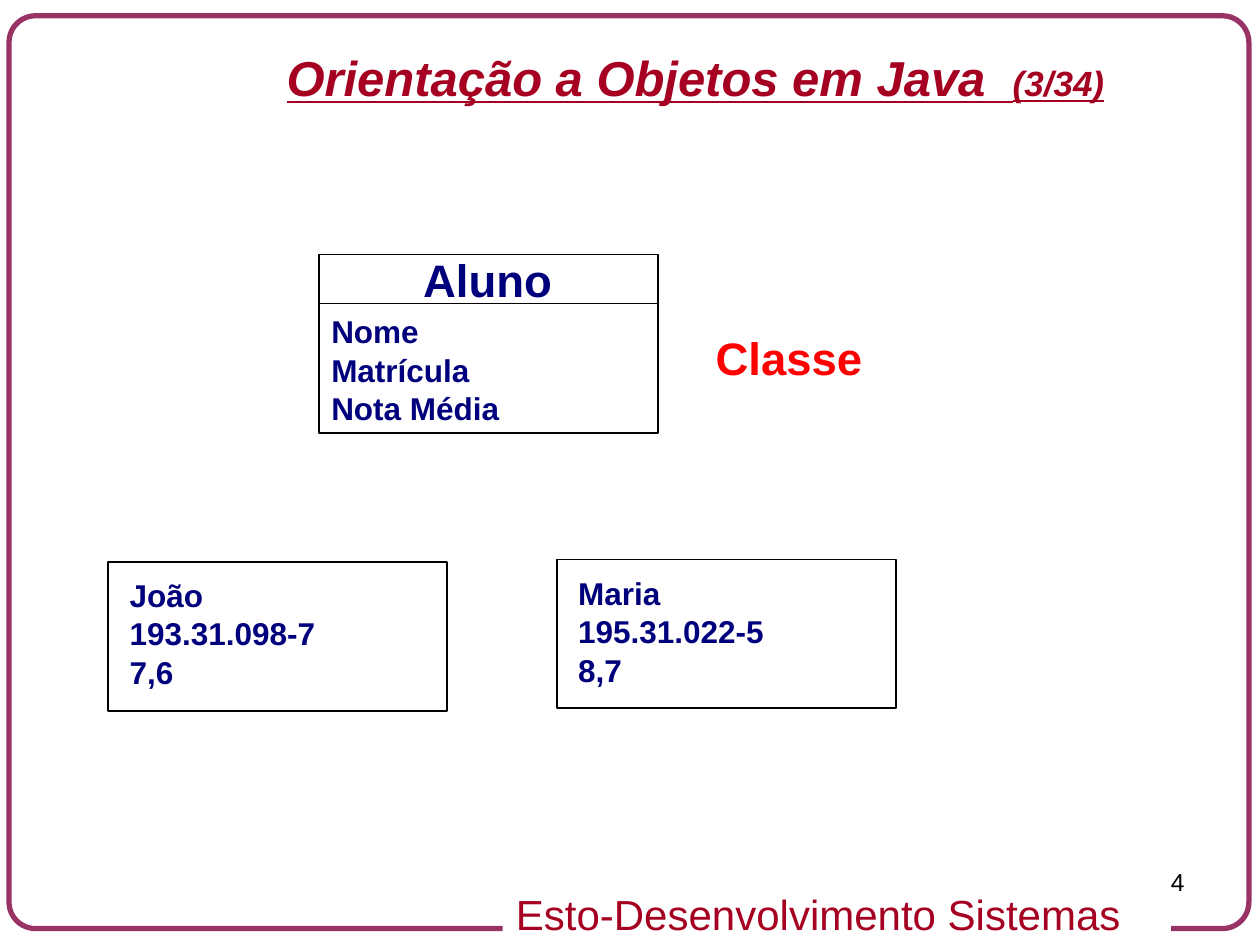
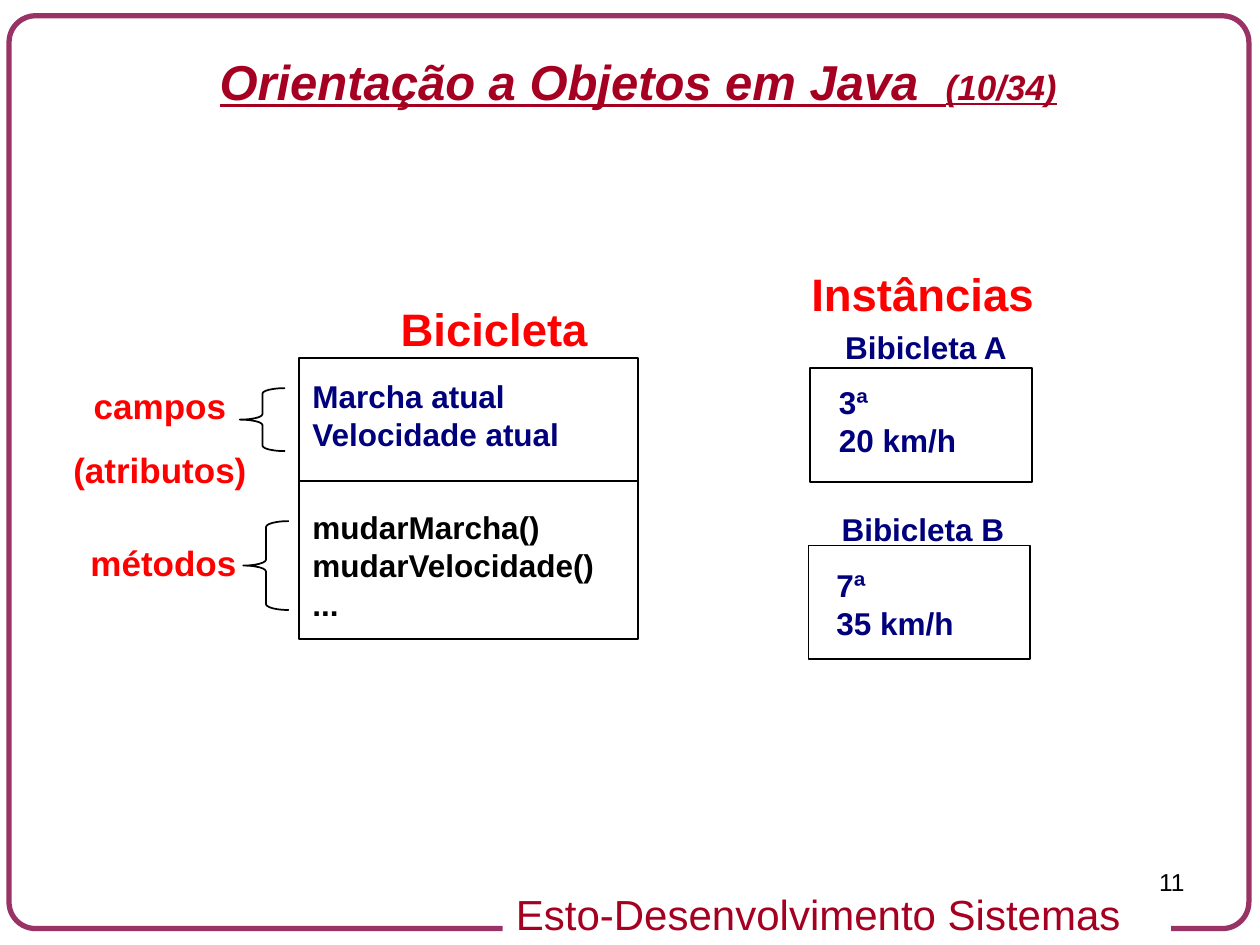
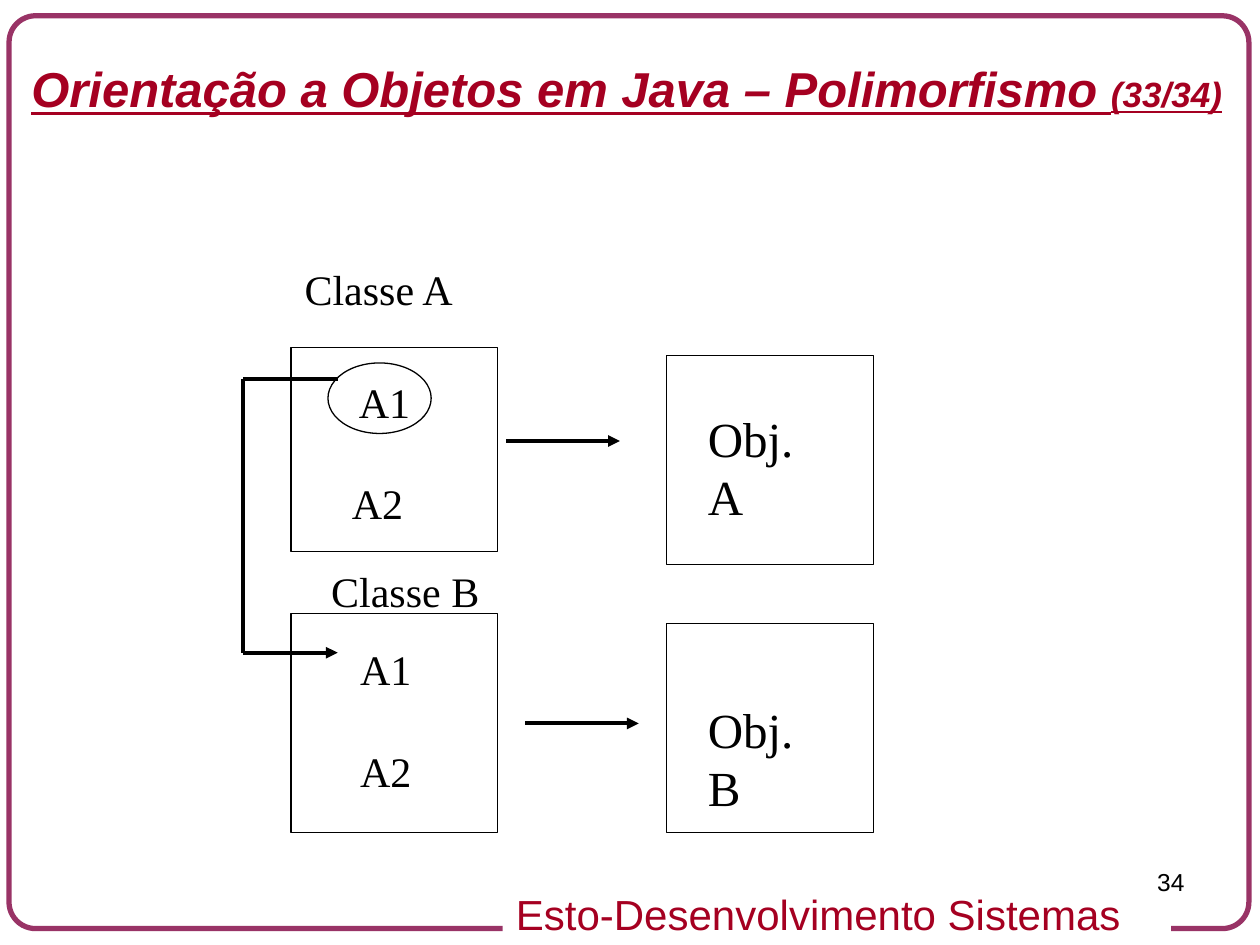
"""Builds three slides on classes, instances and polymorphism in Java."""
from lxml.etree import SubElement
from pptx import Presentation
from pptx.dml.color import RGBColor
from pptx.enum.shapes import MSO_CONNECTOR as Connector, MSO_SHAPE as Preset
from pptx.enum.text import MSO_AUTO_SIZE as AutoSize, PP_ALIGN as Align
from pptx.oxml.ns import qn
from pptx.util import Pt

COLORS = {"frame": "993366", "title": "A50021", "accent": "FF0000",
          "navy": "00007D", "black": "000000", "white": "FFFFFF"}
SANS, SERIF = "Arial", "Times New Roman"
FOOTER = "Esto-Desenvolvimento Sistemas "
COURSE = "Orientação a Objetos em Java"

# style: font, size, colour, bold, space before, line spacing, first height, step
STYLES = {
    "heading": (SANS, 26, "accent", True, 16.2, None, 39, 0),
    "class": (SANS, 26, "navy", True, 16.2, None, 39, 0),
    "fields": (SANS, 18, "navy", True, 11.2, 0.5, 18, 22.3),
    "methods": (SANS, 18, "black", True, 11.2, 0.5, 18, 22.3),
    "label": (SANS, 20, "accent", True, 12.5, None, 31.7, 36),
    "member": (SERIF, 24, "black", False, 15, None, 36, 0),
    "object": (SERIF, 28, "black", False, 17.5, None, 75, 0),
    "footer": (SANS, 24, "title", False, 15, None, 36, 0),
    "number": (SANS, 14, "black", False, 0, None, 37.4, 0),
    "title": (SANS, 28, "title", True, 0, None, 41, 0),
}
CARD, BIKE_CARD, OBJECT = (193.7, 85), (126.7, 64.8), (118, 119.5)

SLIDES = [
    {
        "number": "4", "title": (COURSE + "  ", "(3/34)"), "title_at": (116.6, 23.8, 561.6),
        "boxes": [(182.2, 145.4, 193.7, 102.2), (61.9, 321.1, *CARD), (318.2, 319.7, *CARD)],
        "lines": [(182.2, 173.5, 375.9, 173.5)],
        "texts": [
            ("heading", 401.8, 185, 193.7, ["Classe"]),
            ("class", 234.7, 140.4, 193.7, ["Aluno"]),
            ("fields", 182.2, 184.3, 193.7, ["Nome", "Matrícula", "Nota Média"]),
            ("fields", 67, 334.8, 193.7, ["João", "193.31.098-7", "7,6"]),
            ("fields", 323.3, 333.8, 193.7, ["Maria", "195.31.022-5", "8,7"]),
        ],
    },
    {
        "number": "11", "title": (COURSE + "  ", "(10/34)"), "title_at": (83.5, 25.9, 562.3),
        "boxes": [(171, 204.5, 193.7, 160.9), (463, 210.5, *BIKE_CARD), (462, 311.8, *BIKE_CARD)],
        "lines": [(171, 275, 364.7, 275)],
        "braces": [(137, 221.8, 26, 36, 0.12), (139, 297.8, 26, 50.8, 0.13)],
        "texts": [
            ("heading", 221.8, 168.5, 193.7, ["Bicicleta"]),
            ("fields", 171.4, 221, 193.7, ["Marcha atual", "Velocidade atual"]),
            ("methods", 171.4, 295.9, 193.7, ["mudarMarcha()", "mudarVelocidade()", "..."]),
            ("label", 21.4, 216, 140, ["campos", "(atributos)"]),
            ("label", 44.6, 306, 193.7, ["métodos"]),
            ("heading", 456.5, 148.3, 193.7, ["Instâncias"]),
            ("fields", 472.3, 224.6, 193.7, ["3ª", "20 km/h"]),
            ("fields", 475.9, 193, 193.7, ["Bibicleta A"]),
            ("fields", 470.9, 329, 193.7, ["7ª", "35 km/h"]),
            ("fields", 473.8, 297.4, 193.7, ["Bibicleta B"]),
        ],
    },
    {
        "number": "34", "title": (COURSE + " – Polimorfismo ", "(33/34)"),
        "title_at": (8.6, 30.2, 699.1),
        "boxes": [(166.3, 198.7, 118, 116.6), (166.3, 350.6, 118, 125.3),
                  (381, 203, *OBJECT), (381, 356.4, *OBJECT)],
        "ovals": [(187.4, 207.4, 59, 40.3)],
        "thick": [(193, 216.4, 139, 216.4), (139, 216.4, 139, 373)],
        "arrows": [(139, 373, 193, 373), (289.4, 252, 354.2, 252), (300.2, 413.4, 365, 413.4)],
        "texts": [
            ("member", 167, 146.9, 161.3, ["Classe A"]),
            ("member", 198, 211.7, 96.5, ["A1"]),
            ("member", 194, 269.3, 80, ["A2"]),
            ("member", 182.2, 319.7, 161.3, ["Classe B"]),
            ("member", 198.7, 364.3, 97.2, ["A1"]),
            ("member", 198.7, 422.6, 80, ["A2"]),
            ("object", 397.4, 229.7, 85.7, ["Obj. A"]),
            ("object", 397.4, 396, 85.7, ["Obj. B"]),
        ],
    },
]


def color(name):
    return RGBColor.from_string(COLORS[name])


def add_outline(slide, preset, x, y, w, h, ink="black", weight=1):
    outline = slide.shapes.add_shape(preset, Pt(x), Pt(y), Pt(w), Pt(h))
    outline.shadow.inherit = False
    outline.fill.background()
    outline.line.color.rgb = color(ink)
    outline.line.width = Pt(weight)
    return outline


def add_line(slide, x1, y1, x2, y2, ink="black", weight=1.0, arrow=False):
    line = slide.shapes.add_connector(Connector.STRAIGHT, Pt(x1), Pt(y1), Pt(x2), Pt(y2))
    line.line.color.rgb = color(ink)
    line.line.width = Pt(weight)
    if arrow:
        SubElement(line.line._get_or_add_ln(), qn("a:tailEnd"), type="triangle")
    SubElement(line._element.spPr, qn("a:effectLst"))


def add_run(paragraph, words, style, size=None):
    font_name, style_size, ink, bold = STYLES[style][:4]
    run = paragraph.add_run()
    run.text = words
    run.font.name = font_name
    run.font.size = Pt(size or style_size)
    run.font.bold = bold
    run.font.color.rgb = color(ink)


def add_text(slide, style, x, y, w, lines, align=Align.LEFT):
    before, spacing, first, step = STYLES[style][4:]
    height = first + step * (len(lines) - 1)
    box = slide.shapes.add_textbox(Pt(x), Pt(y), Pt(w), Pt(height))
    frame = box.text_frame
    frame.word_wrap = True
    frame.auto_size = AutoSize.NONE if style == "number" else AutoSize.SHAPE_TO_FIT_TEXT
    for index, words in enumerate(lines):
        paragraph = frame.add_paragraph() if index else frame.paragraphs[0]
        paragraph.alignment = align
        paragraph.space_before = Pt(before)
        if spacing:
            paragraph.line_spacing = spacing
        add_run(paragraph, words, style)
    return box


def add_common(slide, content):
    frame = add_outline(slide, Preset.ROUNDED_RECTANGLE, 5.2, 9, 708.5, 521.6, "frame", 3)
    frame.adjustments[0] = 0.029
    add_line(slide, 609, 530.6, 669, 530.6, "white", 4.5)
    footer = add_text(slide, "footer", 287.3, 504, 367.2, [FOOTER], Align.CENTER)
    footer.fill.solid()
    footer.fill.fore_color.rgb = color("white")
    add_text(slide, "number", 516.2, 491.8, 167.8, [content["number"]], Align.RIGHT)
    name, page = content["title"]
    title = add_text(slide, "title", *content["title_at"], [name], Align.CENTER)
    heading = title.text_frame.paragraphs[0]
    add_run(heading, page, "title", 20)
    for run in heading.runs:
        run.font.italic = run.font.underline = True


def add_diagram(slide, content):
    weight = 0.75 if "ovals" in content else 1
    for box in content["boxes"]:
        add_outline(slide, Preset.RECTANGLE, *box, weight=weight)
    for oval in content.get("ovals", []):
        add_outline(slide, Preset.OVAL, *oval, weight=weight)
    for *place, curve in content.get("braces", []):
        add_outline(slide, Preset.LEFT_BRACE, *place).adjustments[0] = curve
    for line in content.get("lines", []):
        add_line(slide, *line)
    for line in content.get("thick", []):
        add_line(slide, *line, weight=2.25)
    for line in content.get("arrows", []):
        add_line(slide, *line, weight=2.25, arrow=True)
    for style, x, y, w, lines in content["texts"]:
        centred = style == "label" and len(lines) > 1
        add_text(slide, style, x, y, w, lines, Align.CENTER if centred else Align.LEFT)


def main():
    deck = Presentation()
    deck.slide_width, deck.slide_height = Pt(720), Pt(540)
    for content in SLIDES:
        slide = deck.slides.add_slide(deck.slide_layouts[6])
        add_common(slide, content)
        add_diagram(slide, content)
    deck.save("out.pptx")


if __name__ == "__main__":
    main()
